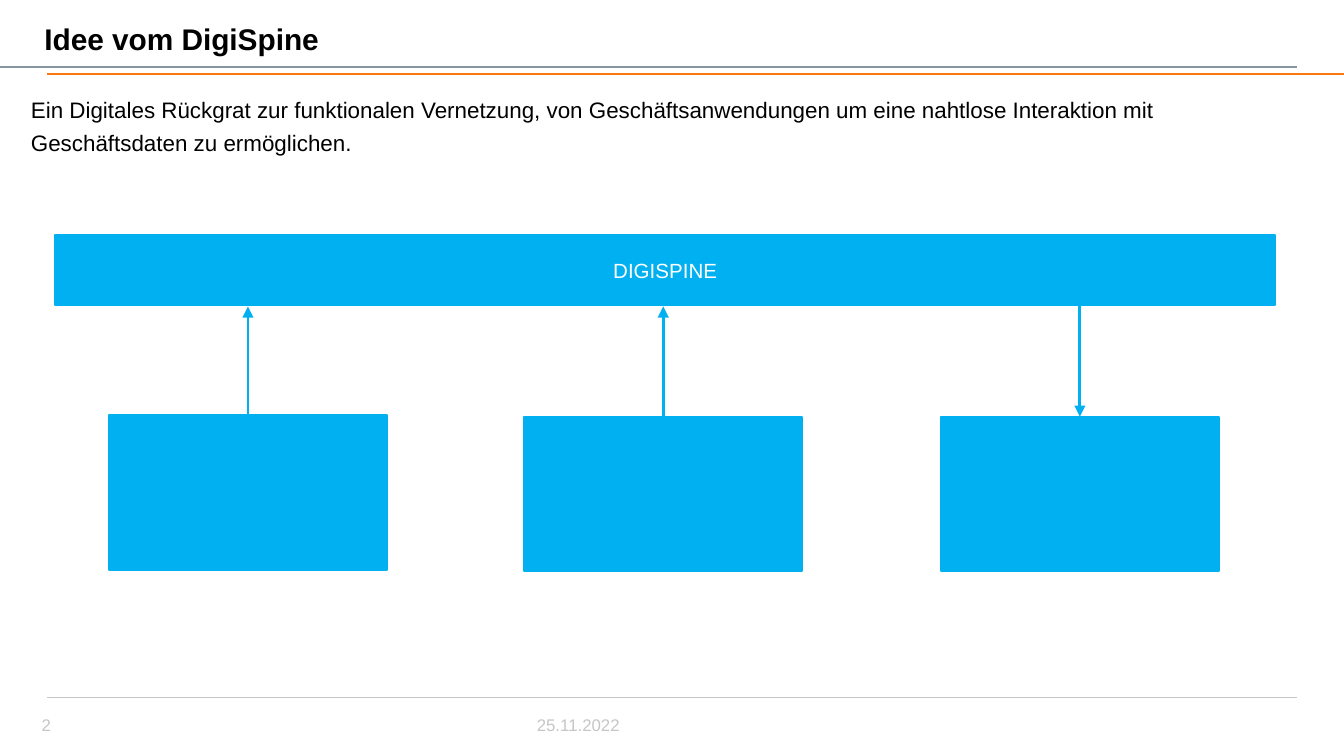
from dataclasses import dataclass

from lxml import etree
from pptx import Presentation
from pptx.dml.color import RGBColor
from pptx.enum.shapes import MSO_CONNECTOR, MSO_SHAPE
from pptx.enum.text import MSO_ANCHOR, PP_ALIGN
from pptx.oxml.ns import qn
from pptx.util import Inches, Pt

RECT = MSO_SHAPE.RECTANGLE
LINE = MSO_CONNECTOR.STRAIGHT
TOP, MIDDLE = MSO_ANCHOR.TOP, MSO_ANCHOR.MIDDLE
LEFT, CENTER, RIGHT = PP_ALIGN.LEFT, PP_ALIGN.CENTER, PP_ALIGN.RIGHT


@dataclass(frozen=True)
class Theme:
    font: str = "Arial"
    black: str = "000000"
    white: str = "FFFFFF"
    blue: str = "00B0F0"
    slate: str = "8597A5"
    orange: str = "FD780F"
    gray: str = "C6C6C6"
    title: int = 16
    body: int = 12
    label: int = 11
    foot: int = 9


THEME = Theme()


def color(code):
    return RGBColor.from_string(code)


def write(frame, text, size, tint, align=LEFT, bold=False):
    para = frame.paragraphs[0]
    para.alignment = align
    run = para.add_run()
    run.text = text
    font = run.font
    font.name, font.size, font.bold = THEME.font, Pt(size), bold
    font.color.rgb = color(tint)
    return para


def add_text(slide, area, text, size, tint, align=LEFT, anchor=MIDDLE, bold=False):
    frame = slide.shapes.add_textbox(*map(Inches, area)).text_frame
    frame.word_wrap = True
    frame.vertical_anchor = anchor
    frame.margin_left = frame.margin_right = Inches(0.07)
    frame.margin_top = frame.margin_bottom = Inches(0.04)
    return write(frame, text, size, tint, align, bold)


def add_box(slide, area):
    box = slide.shapes.add_shape(RECT, *map(Inches, area))
    box.shadow.inherit = False
    box.fill.solid()
    box.fill.fore_color.rgb = color(THEME.blue)
    box.line.color.rgb = color(THEME.blue)
    box.line.width = Pt(1)
    box.text_frame.vertical_anchor = MIDDLE
    return box


def add_line(slide, start, end, tint, width):
    line = slide.shapes.add_connector(LINE, *map(Inches, (*start, *end)))
    line.line.color.rgb = color(tint)
    line.line.width = Pt(width)
    etree.SubElement(line._element.spPr, qn("a:effectLst"))
    return line


def add_arrow(slide, box, start, end, tip):
    arrow = add_line(slide, start, end, THEME.blue, 1.5)
    arrow.begin_connect(box, 0)
    edge = arrow._element.spPr.find(qn("a:ln"))
    etree.SubElement(edge, qn(f"a:{tip}"), type="triangle")


def add_frame(slide):
    add_line(slide, (0, 0.5), (9.65, 0.5), THEME.slate, 1)
    add_line(slide, (0.35, 0.55), (10, 0.55), THEME.orange, 1)
    add_line(slide, (0.35, 5.19), (9.65, 5.19), THEME.gray, 0.5)
    add_text(slide, (0.26, 0.11, 9.39, 0.35), "Idee vom DigiSpine",
             THEME.title, THEME.black, bold=True)
    add_text(slide, (0.24, 5.27, 0.57, 0.24), "2", THEME.foot, THEME.gray)
    add_text(slide, (3.9, 5.27, 0.78, 0.24), "25.11.2022",
             THEME.foot, THEME.gray, RIGHT)


def add_spine(slide):
    spine = add_box(slide, (0.41, 1.75, 9.08, 0.52))
    write(spine.text_frame, "DIGISPINE", THEME.label, THEME.white, CENTER)
    width, height = 2.07, 1.15
    nodes = ((0.81, 3.09, "tailEnd"), (3.9, 3.1, "tailEnd"), (7, 3.1, "headEnd"))
    for left, top, tip in nodes:
        mid = left + width / 2
        box = add_box(slide, (left, top, width, height))
        add_arrow(slide, box, (mid, top), (mid, 2.28), tip)


def main():
    deck = Presentation()
    deck.slide_width = Inches(10)
    deck.slide_height = deck.slide_width * 9 // 16
    slide = deck.slides.add_slide(deck.slide_layouts[6])
    add_frame(slide)
    intro = add_text(
        slide, (0.16, 0.64, 8.55, 0.77),
        "Ein Digitales Rückgrat zur funktionalen Vernetzung, von "
        "Geschäftsanwendungen um eine nahtlose Interaktion mit "
        "Geschäftsdaten zu ermöglichen.",
        THEME.body, THEME.black, anchor=TOP)
    intro.line_spacing = Pt(17.2)
    add_spine(slide)
    deck.save("out.pptx")


if __name__ == "__main__":
    main()
